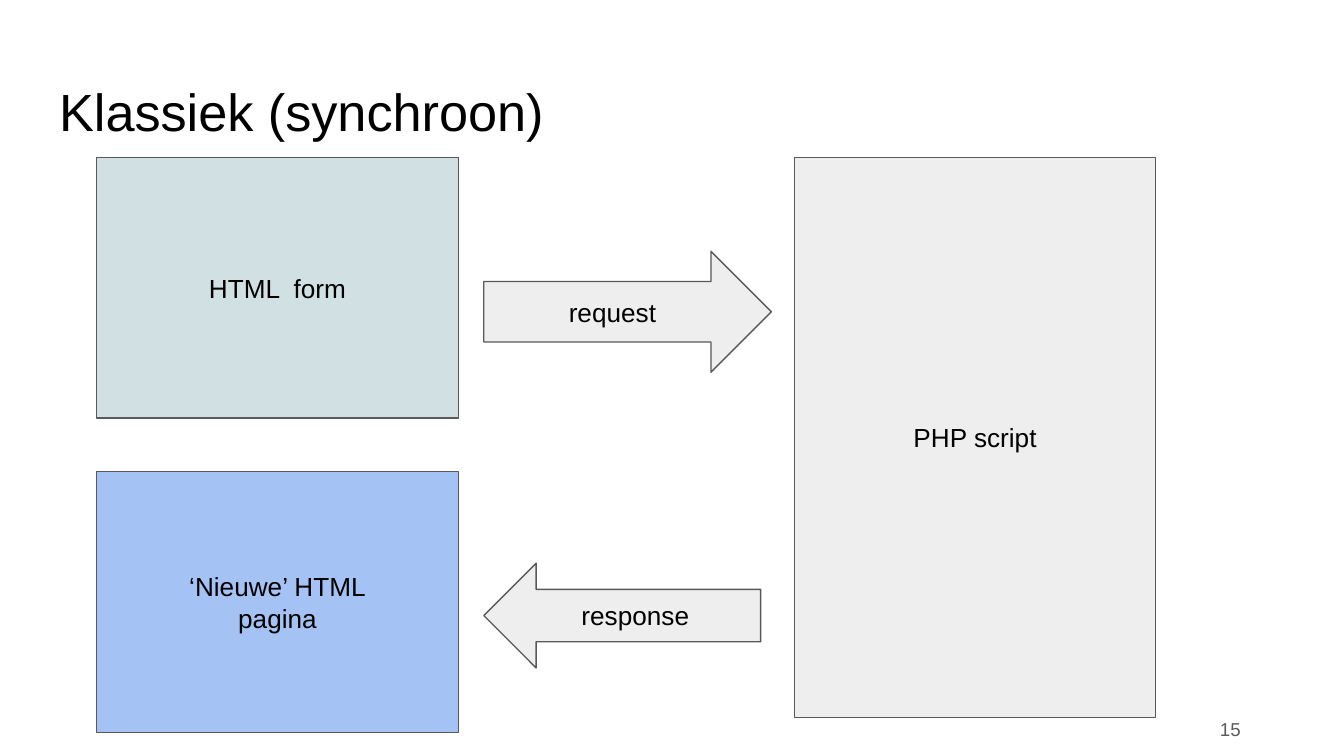
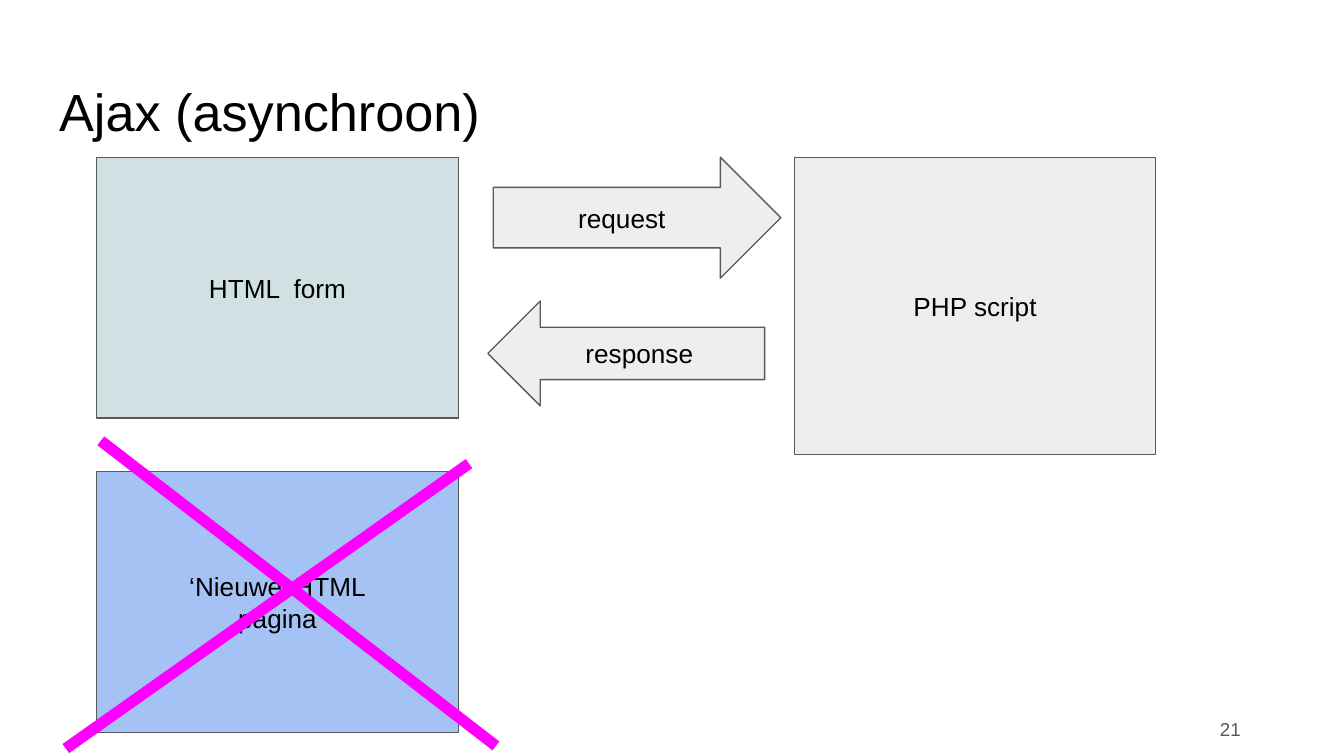
from lxml import etree
from pptx import Presentation
from pptx.dml.color import RGBColor
from pptx.enum.shapes import MSO_CONNECTOR, MSO_SHAPE
from pptx.enum.text import MSO_ANCHOR, MSO_AUTO_SIZE, PP_ALIGN
from pptx.oxml.ns import qn
from pptx.util import Inches, Pt

RECTANGLE = MSO_SHAPE.RECTANGLE
RIGHT_ARROW = MSO_SHAPE.RIGHT_ARROW
LEFT_ARROW = MSO_SHAPE.LEFT_ARROW
STRAIGHT = MSO_CONNECTOR.STRAIGHT
TOP, MIDDLE = MSO_ANCHOR.TOP, MSO_ANCHOR.MIDDLE
LEFT, CENTER, RIGHT = PP_ALIGN.LEFT, PP_ALIGN.CENTER, PP_ALIGN.RIGHT
NO_AUTOSIZE = MSO_AUTO_SIZE.NONE

BLACK = RGBColor(0x00, 0x00, 0x00)
WHITE = RGBColor(0xFF, 0xFF, 0xFF)
DARK_GREY = RGBColor(0x59, 0x59, 0x59)
LIGHT_GREY = RGBColor(0xEE, 0xEE, 0xEE)
TEAL = RGBColor(0xD0, 0xE0, 0xE3)
BLUE = RGBColor(0xA4, 0xC2, 0xF4)
MAGENTA = RGBColor(0xFF, 0x00, 0xFF)

FONT = "Arial"
SLIDE_WIDTH = 10
SLIDE_HEIGHT = SLIDE_WIDTH * 9 / 16
TITLE_BOX = (0.34, 0.49, 9.32, 0.63)
NUMBER_BOX = (8.73, 5.21, 0.6, 0.43)

# Diagram: origin on the slide, and parts relative to it
DIAGRAM_ORIGIN = (0.72, 1.17)
BLOCK_WIDTH, BLOCK_HEIGHT = 2.69, 1.94
SCRIPT_LEFT = 5.19
PAGE_TOP = 2.34
REQUEST_SIZE = (2.14, 0.9)
RESPONSE_SIZE = (2.06, 0.78)

# Strokes of the cross, relative to the crossed-out page
CROSS_STROKES = [((0.03, -0.23), (2.97, 2.04)), ((2.77, -0.06), (-0.23, 2.06))]

SLIDES = [
    {"title": "Klassiek (synchroon)", "number": "15", "script_height": 4.17,
     "request_at": (2.88, 0.7), "response_at": (2.88, 3.02), "crossed": False},
    {"title": "Ajax (asynchroon)", "number": "21", "script_height": 2.21,
     "request_at": (2.95, 0), "response_at": (2.91, 1.07), "crossed": True},
]


def inches(values):
    return [Inches(value) for value in values]


def write_text(shape, text, size, color, alignment, anchor):
    frame = shape.text_frame
    frame_format = {"word_wrap": True, "auto_size": NO_AUTOSIZE, "vertical_anchor": anchor}
    for side in ("left", "top", "right", "bottom"):
        frame_format[f"margin_{side}"] = Inches(0.1)
    for name, value in frame_format.items():
        setattr(frame, name, value)
    paragraph = frame.paragraphs[0]
    paragraph.text = text
    paragraph.alignment = alignment
    paragraph.line_spacing = 1.0
    paragraph.space_before = Pt(0)
    for run in paragraph.runs:
        for name, value in {"name": FONT, "size": Pt(size)}.items():
            setattr(run.font, name, value)
        run.font.color.rgb = color


def add_title(slide, text, box):
    title = slide.shapes.title
    for name, value in zip(("left", "top", "width", "height"), inches(box)):
        setattr(title, name, value)
    write_text(title, text, 28, BLACK, LEFT, TOP)


def add_number(slide, text, box):
    number = slide.shapes.add_textbox(*inches(box))
    write_text(number, text, 10, DARK_GREY, RIGHT, MIDDLE)


def add_block(slide, preset, text, fill, box):
    shape = slide.shapes.add_shape(preset, *inches(box))
    shape.shadow.inherit = False
    shape.fill.solid()
    shape.fill.fore_color.rgb = fill
    shape.line.color.rgb = DARK_GREY
    shape.line.width = Pt(0.75)
    write_text(shape, text, 14, BLACK, CENTER, MIDDLE)


def add_cross(slide, left, top):
    for (x1, y1), (x2, y2) in CROSS_STROKES:
        ends = (left + x1, top + y1, left + x2, top + y2)
        stroke = slide.shapes.add_connector(STRAIGHT, *inches(ends))
        stroke.line.color.rgb = MAGENTA
        stroke.line.width = Pt(6)
        etree.SubElement(stroke.element.spPr, qn("a:effectLst"))


def add_diagram(slide, origin, content):
    left, top = origin
    blocks = [
        (RECTANGLE, "HTML  form", TEAL, (0, 0), (BLOCK_WIDTH, BLOCK_HEIGHT)),
        (RECTANGLE, "PHP script", LIGHT_GREY, (SCRIPT_LEFT, 0),
         (BLOCK_WIDTH, content["script_height"])),
        (RECTANGLE, "‘Nieuwe’ HTML\npagina", BLUE, (0, PAGE_TOP),
         (BLOCK_WIDTH, BLOCK_HEIGHT)),
        (RIGHT_ARROW, "request", LIGHT_GREY, content["request_at"], REQUEST_SIZE),
        (LEFT_ARROW, "response", LIGHT_GREY, content["response_at"], RESPONSE_SIZE),
    ]
    for preset, text, fill, (x, y), size in blocks:
        add_block(slide, preset, text, fill, (left + x, top + y, *size))
    if content["crossed"]:
        add_cross(slide, left, top + PAGE_TOP)


def add_diagram_slide(presentation, content):
    title_only = presentation.slide_layouts[5]
    slide = presentation.slides.add_slide(title_only)
    add_title(slide, content["title"], TITLE_BOX)
    add_number(slide, content["number"], NUMBER_BOX)
    add_diagram(slide, DIAGRAM_ORIGIN, content)


def main():
    presentation = Presentation()
    presentation.slide_width = Inches(SLIDE_WIDTH)
    presentation.slide_height = Inches(SLIDE_HEIGHT)
    # Shared background
    background = presentation.slide_master.background.fill
    background.solid()
    background.fore_color.rgb = WHITE
    for content in SLIDES:
        add_diagram_slide(presentation, content)
    presentation.save("out.pptx")


if __name__ == "__main__":
    main()
